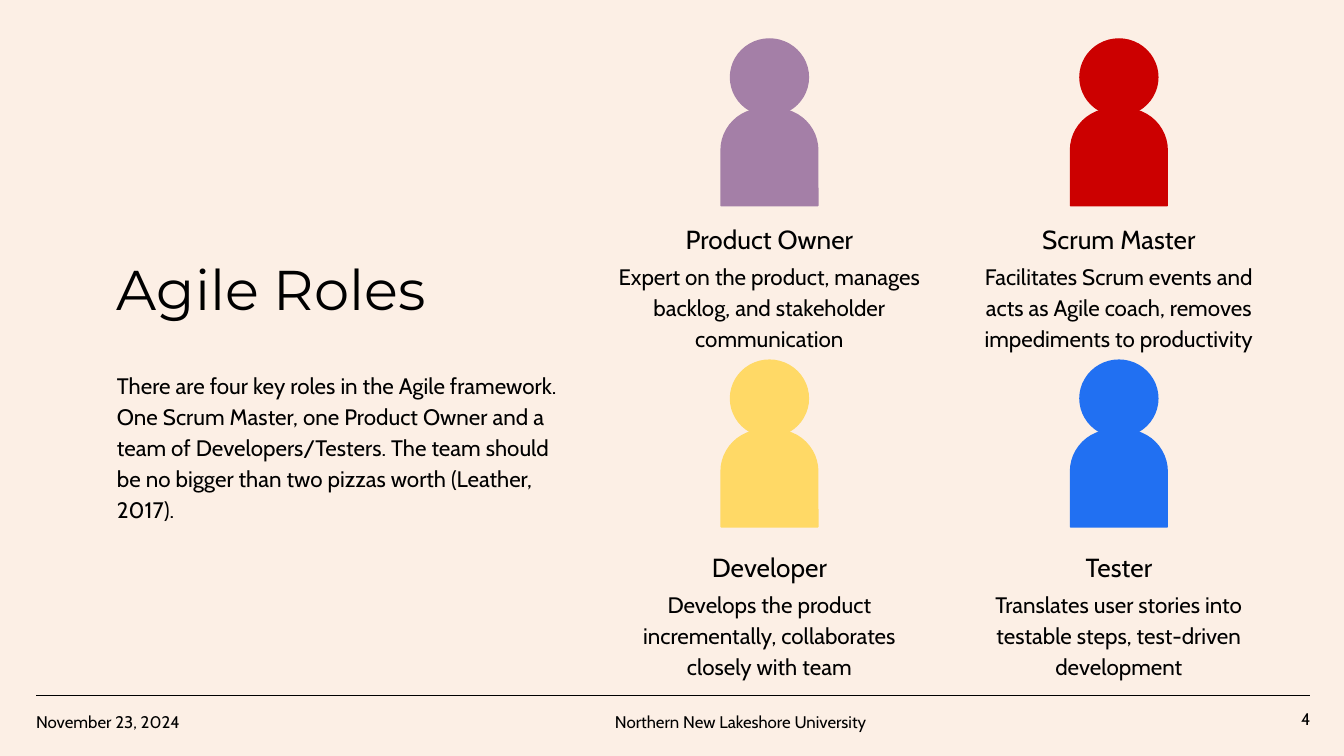
from lxml.etree import SubElement
from pptx import Presentation
from pptx.dml.color import RGBColor
from pptx.enum.shapes import MSO_CONNECTOR, MSO_SHAPE as SHAPE
from pptx.enum.text import MSO_ANCHOR as ANCHOR, MSO_AUTO_SIZE, PP_ALIGN as ALIGN
from pptx.oxml.ns import qn
from pptx.util import Inches, Pt

TITLE = "Agile Roles"
INTRO = ("There are four key roles in the Agile framework. One Scrum Master, "
         "one Product Owner and a team of Developers/Testers. The team should "
         "be no bigger than two pizzas worth (Leather, 2017).")
ROLES = [
    ("Product Owner", "Expert on the product, manages backlog, and stakeholder communication", "A47FA7"),
    ("Scrum Master", "Facilitates Scrum events and acts as Agile coach, removes impediments to productivity", "CC0000"),
    ("Developer", "Develops the product incrementally, collaborates closely with team", "FFD966"),
    ("Tester", "Translates user stories into testable steps, test-driven development", "2170F2"),
]
FOOTER = [
    ("November 23, 2024", 0.17, 1.63, ALIGN.LEFT, ANCHOR.TOP, 1.15),
    ("Northern New Lakeshore University", 4.18, 2.66, ALIGN.CENTER, ANCHOR.TOP, 1.15),
    ("4", 9.25, 0.6, ALIGN.RIGHT, ANCHOR.MIDDLE, 1),
]

SLIDE_W = 10
SLIDE_H = SLIDE_W * 9 / 16
MARGIN = 0.77
COL_LEFT, COL_PITCH, COL_W = 4.5, 2.6, 2.45
ROWS = [(0.29, 1.53), (2.68, 3.97)]
NAME_H, DETAIL_H = 0.34, 0.8
HEAD_W, HEAD_H, TORSO = 0.58, 0.57, 0.72
RULE_Y = 0.92 * SLIDE_H


def rgb(value):
    return RGBColor.from_string(value)


def place(sp, x, y, w, h):
    sp.left, sp.top, sp.width, sp.height = map(Inches, (x, y, w, h))


def write(sp, text, size, align=ALIGN.LEFT, anchor=ANCHOR.TOP, spacing=1.15, font="Cabin"):
    tf = sp.text_frame
    tf.text = text
    tf.word_wrap = True
    tf.auto_size = MSO_AUTO_SIZE.NONE
    tf.vertical_anchor = anchor
    tf.margin_left = tf.margin_right = tf.margin_top = tf.margin_bottom = Inches(0.1)
    p = tf.paragraphs[0]
    p.alignment = align
    p.line_spacing = spacing
    p.space_before = p.space_after = Pt(0)
    pPr = p._p.get_or_add_pPr()
    pPr.set("marL", "0")
    pPr.set("indent", "0")
    SubElement(pPr, qn("a:buNone"))
    r = p.runs[0]
    r.font.name = font
    r.font.size = Pt(size)
    r.font.color.rgb = rgb("000000")


def add_text(s, box, *args, **kwargs):
    sp = s.shapes.add_textbox(*map(Inches, box))
    write(sp, *args, **kwargs)


def add_part(s, kind, box, color):
    sp = s.shapes.add_shape(kind, *map(Inches, box))
    sp.shadow.inherit = False
    sp.fill.solid()
    sp.fill.fore_color.rgb = rgb(color)
    sp.line.color.rgb = rgb(color)
    sp.line.width = Pt(0.75)
    return sp


def add_person(s, center, top, color):
    torso = add_part(s, SHAPE.ROUND_2_SAME_RECTANGLE,
                     (center - TORSO / 2, top + 0.52, TORSO, TORSO), color)
    torso.adjustments[0] = 0.43
    add_part(s, SHAPE.OVAL, (center - HEAD_W / 2, top, HEAD_W, HEAD_H), color)


def add_rule(s):
    rule = s.shapes.add_connector(MSO_CONNECTOR.STRAIGHT, *map(Inches, (0.27, RULE_Y, 9.75, RULE_Y)))
    rule.line.color.rgb = rgb("000000")
    rule.line.width = Pt(0.75)
    SubElement(rule._element.spPr, qn("a:effectLst"))


def main():
    prs = Presentation()
    prs.slide_width, prs.slide_height = Inches(SLIDE_W), Inches(SLIDE_H)
    s = prs.slides.add_slide(prs.slide_layouts[1])
    s.background.fill.solid()
    s.background.fill.fore_color.rgb = rgb("FCEFE5")
    add_rule(s)

    title, body = s.placeholders
    place(title, MARGIN, 1.5, 3.76, 1)
    write(title, TITLE, 30, anchor=ANCHOR.BOTTOM, spacing=0.9, font="Montserrat")
    place(body, MARGIN, 2.64, 3.6, 1.24)
    write(body, INTRO, 12)

    for i, (name, detail, color) in enumerate(ROLES):
        row, col = divmod(i, 2)
        x = COL_LEFT + col * COL_PITCH
        person_y, name_y = ROWS[row]
        add_text(s, (x, name_y + 0.3, COL_W, DETAIL_H), detail, 12, ALIGN.CENTER)
        add_text(s, (x, name_y, COL_W, NAME_H), name, 14, ALIGN.CENTER)
        add_person(s, x + COL_W / 2, person_y, color)

    for text, x, w, align, anchor, spacing in FOOTER:
        add_text(s, (x, RULE_Y, w, NAME_H), text, 9, align, anchor, spacing)

    prs.save("out.pptx")


if __name__ == "__main__":
    main()
